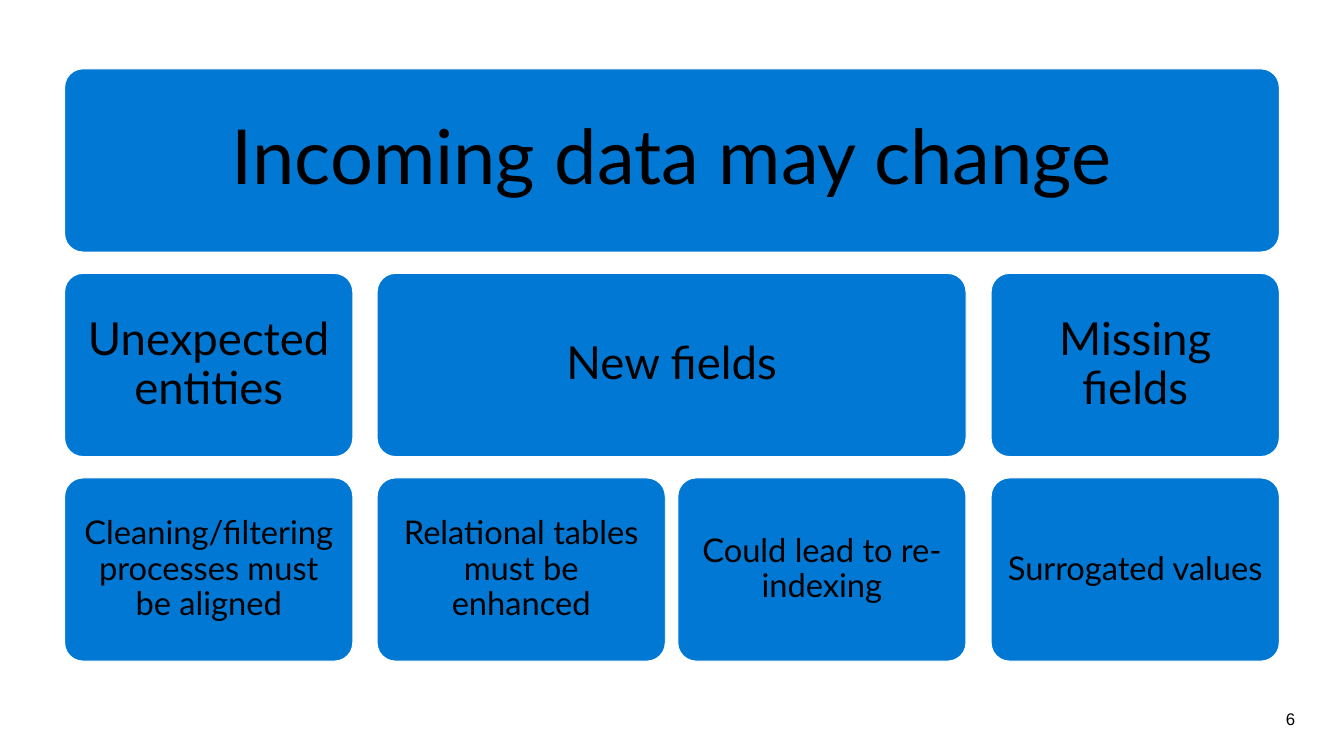
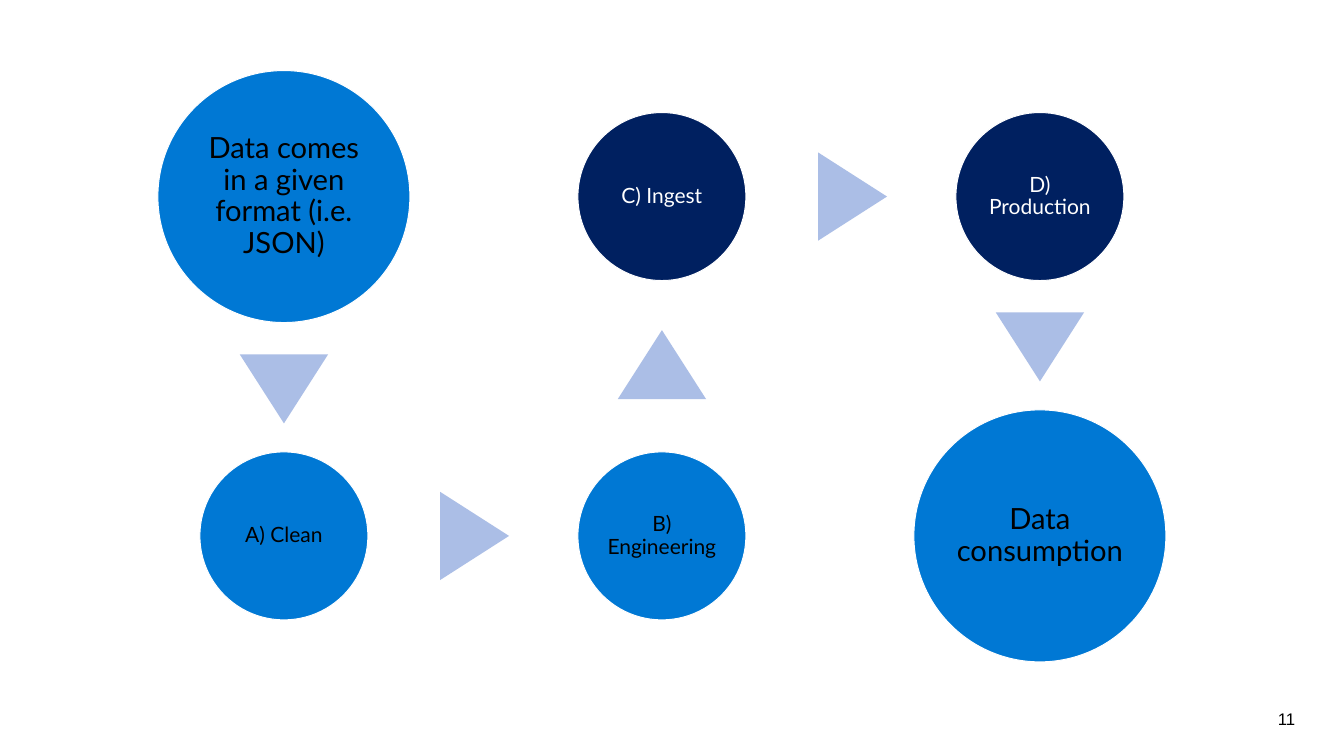
"""Build two slides: a grid of data changes and a circular process flow."""
from itertools import pairwise

from pptx import Presentation
from pptx.dml.color import RGBColor
from pptx.enum.shapes import MSO_SHAPE as Shape
from pptx.enum.text import MSO_ANCHOR as Anchor, PP_ALIGN as Align
from pptx.util import Inches, Pt

BLUE, NAVY, PALE = "0078D4", "002060", "ABBEE6"
BLACK, WHITE = "000000", "FFFFFF"
BODY_FONT, NUMBER_FONT = "Lato", "Arial"

COLUMN_LEFTS = (0.77, 4.49, 8.07, 11.8)
CARD_WIDTH, CARD_HEIGHT = 3.43, 2.18
FIRST_ROW_TOP, ROW_STEP = 0.82, 2.435
LEVELS = ((65, 0.27), (39, 0.16), (28, 0.12))
CARDS = (
    ("Incoming data may change", 0, 0, 3),
    ("Unexpected entities", 1, 0, 0),
    ("Cleaning/filtering processes must be aligned", 2, 0, 0),
    ("New fields", 1, 1, 2),
    ("Relational tables must be enhanced", 2, 1, 1),
    ("Could lead to re-indexing", 2, 2, 2),
    ("Missing fields", 1, 3, 3),
    ("Surrogated values", 2, 3, 3),
)

CENTRE_XS, CENTRE_YS = (3.38, 7.88, 12.38), (2.34, 6.38)
ARROW_WIDTH, ARROW_HEIGHT, ARROW_NUDGE = 1.05, 0.82, 0.02
STEPS = (
    ("Data comes in a given format (i.e. JSON)", 0, 0, 3, 25, BLUE, BLACK),
    ("A) Clean", 0, 1, 2, 18, BLUE, BLACK),
    ("B) Engineering", 1, 1, 2, 18, BLUE, BLACK),
    ("C) Ingest", 1, 0, 2, 18, NAVY, WHITE),
    ("D) Production", 2, 0, 2, 18, NAVY, WHITE),
    ("Data consumption", 2, 1, 3, 25, BLUE, BLACK),
)


def colour(value):
    """Turn a hex string into a colour."""
    return RGBColor.from_string(value)


def write(box, text, size, ink, font, align, inset_x, inset_y, spacing=None):
    """Write one paragraph, centred vertically, into a box."""
    frame = box.text_frame
    frame.word_wrap = True
    frame.vertical_anchor = Anchor.MIDDLE
    frame.margin_left = frame.margin_right = Inches(inset_x)
    frame.margin_top = frame.margin_bottom = Inches(inset_y)
    para = frame.paragraphs[0]
    para.alignment = align
    para.line_spacing = spacing
    span = para.add_run()
    span.text = text
    span.font.size = Pt(size)
    span.font.name = font
    span.font.color.rgb = colour(ink)


def add_figure(page, kind, left, top, width, height, fill):
    """Add a filled shape without outline or shadow."""
    figure = page.shapes.add_shape(
        kind, Inches(left), Inches(top), Inches(width), Inches(height))
    figure.shadow.inherit = False
    figure.fill.solid()
    figure.fill.fore_color.rgb = colour(fill)
    figure.line.fill.background()
    return figure


def label(figure, text, size, ink, inset):
    """Give a figure a white outline and a centred label."""
    figure.line.color.rgb = colour(WHITE)
    figure.line.width = Pt(0.85)
    write(figure, text, size, ink, BODY_FONT, Align.CENTER, inset, inset, 0.9)


def add_page(deck, number):
    """Add a blank slide with its page number."""
    page = deck.slides.add_slide(deck.slide_layouts[6])
    box = page.shapes.add_textbox(
        Inches(14.81), Inches(8.32), Inches(0.73), Inches(0.48))
    write(box, number, 14.4, BLACK, NUMBER_FONT, Align.RIGHT, 0.12, 0.06)
    return page


def add_card(page, text, row, first, last):
    """Add a rounded card that spans the given columns."""
    left = COLUMN_LEFTS[first]
    width = COLUMN_LEFTS[last] + CARD_WIDTH - left
    top = FIRST_ROW_TOP + row * ROW_STEP
    card = add_figure(
        page, Shape.ROUNDED_RECTANGLE, left, top, width, CARD_HEIGHT, BLUE)
    card.adjustments[0] = 0.1
    size, inset = LEVELS[row]
    label(card, text, size, BLACK, inset)


def add_step(page, text, column, row, diameter, size, fill, ink):
    """Add a labelled circle at a grid point."""
    left = CENTRE_XS[column] - diameter / 2
    top = CENTRE_YS[row] - diameter / 2
    circle = add_figure(
        page, Shape.OVAL, left, top, diameter, diameter, fill)
    label(circle, text, size, ink, 0.03)


def add_arrow(page, start, end):
    """Add a triangle in the gap between two steps, pointing to the second."""
    _, column, row, start_size, *_ = start
    _, next_column, next_row, end_size, *_ = end
    across, down = next_column - column, next_row - row
    shift = (start_size - end_size) / 4 + ARROW_NUDGE
    x = (CENTRE_XS[column] + CENTRE_XS[next_column]) / 2 + across * shift
    y = (CENTRE_YS[row] + CENTRE_YS[next_row]) / 2 + down * shift
    arrow = add_figure(
        page, Shape.ISOSCELES_TRIANGLE, x - ARROW_WIDTH / 2,
        y - ARROW_HEIGHT / 2, ARROW_WIDTH, ARROW_HEIGHT, PALE)
    arrow.rotation = 90 if across else 90 * (1 + down)


def main():
    """Build and save the deck."""
    deck = Presentation()
    deck.slide_width, deck.slide_height = Inches(16), Inches(9)
    changes = add_page(deck, "6")
    for card in CARDS:
        add_card(changes, *card)
    flow = add_page(deck, "11")
    for step in STEPS:
        add_step(flow, *step)
    for start, end in pairwise(STEPS):
        add_arrow(flow, start, end)
    deck.save("out.pptx")


if __name__ == "__main__":
    main()
